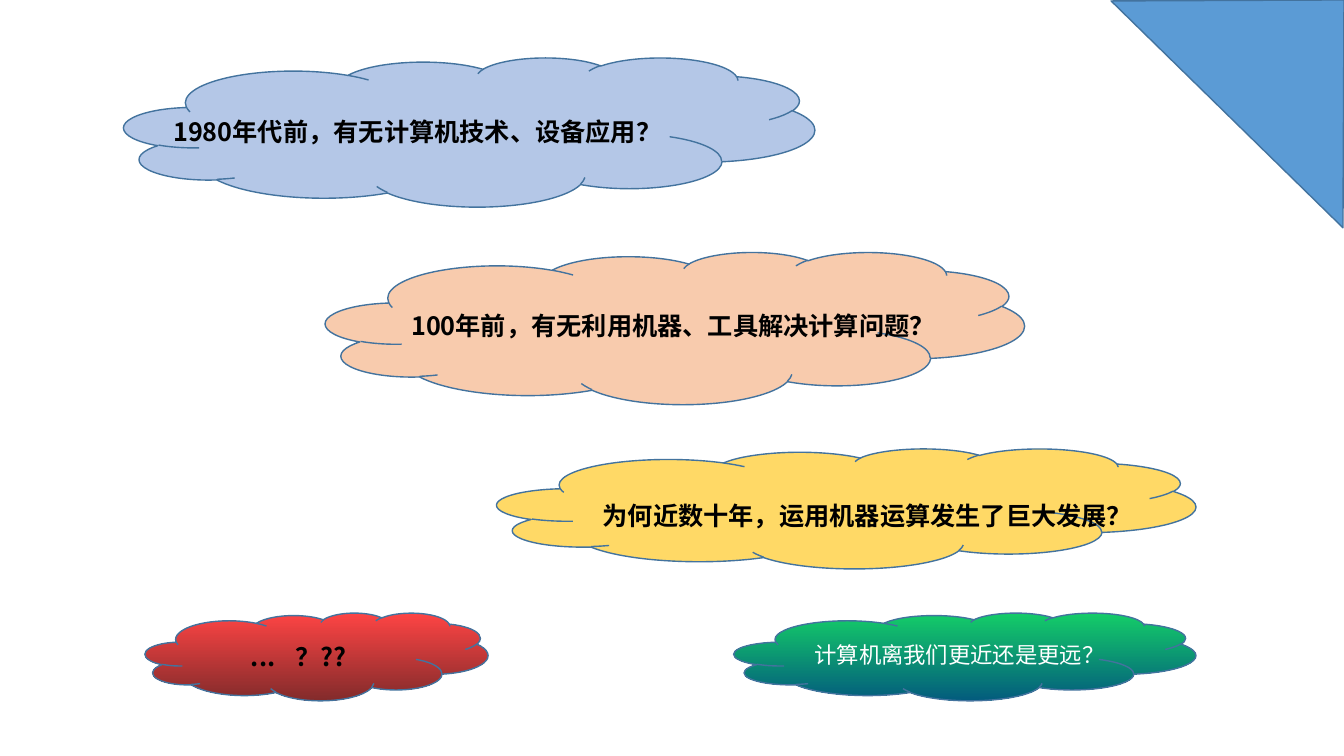
from dataclasses import dataclass

from lxml.etree import SubElement
from pptx import Presentation
from pptx.dml.color import RGBColor
from pptx.enum.shapes import MSO_SHAPE
from pptx.enum.text import MSO_ANCHOR, PP_ALIGN
from pptx.oxml.ns import qn
from pptx.util import Pt

CLOUDS = [
    {"box": (123, 57, 685, 148), "fill": ["B4C7E7"]},
    {"box": (323, 250, 693, 151), "fill": ["F8CBAD"]},
    {"box": (493, 445, 693, 119), "fill": ["FFD966"]},
    {"box": (144, 608, 340, 87), "fill": ["FE4444", "832B2B"]},
    {"box": (728, 608, 458, 87), "fill": ["14CD68", "035C7D"],
     "text": "计算机离我们更近还是更远？"},
]
QUESTIONS = [
    {"box": (162, 111, 529, 40), "text": "1980年代前，有无计算机技术、设备应用？"},
    {"box": (398, 303, 544, 40), "text": "100年前，有无利用机器、工具解决计算问题？"},
    {"box": (588, 491, 544, 40), "text": "为何近数十年，运用机器运算发生了巨大发展？"},
    {"box": (239, 631, 149, 40), "text": "...\t？??", "tab": 44},
]
CORNER = [(1333, 0), (1102, 1), (1332, 226)]
SLIDE = (1333, 750)
EMU_PER_PX = 9144


@dataclass(frozen=True)
class Theme:
    font: str = "Noto Sans CJK SC"
    outline: str = "43739E"
    corner: str = "5B9BD5"
    dark: str = "000000"
    light: str = "FFFFFF"
    question_size: int = 18
    cloud_size: int = 16


THEME = Theme()


def px(n):
    return n * EMU_PER_PX


def paint(s, colors):
    s.shadow.inherit = False
    if len(colors) == 1:
        s.fill.solid()
        s.fill.fore_color.rgb = RGBColor.from_string(colors[0])
    else:
        s.fill.gradient()
        s.fill.gradient_angle = 270
        for i, (stop, color) in enumerate(zip(s.fill.gradient_stops, colors)):
            stop.position = i
            stop.color.rgb = RGBColor.from_string(color)
    s.line.color.rgb = RGBColor.from_string(THEME.outline)
    s.line.width = Pt(1)


def write(tf, text, color, frame, para, font, tab=None):
    p = tf.paragraphs[0]
    if tab:
        tabs = SubElement(p._p.get_or_add_pPr(), qn("a:tabLst"))
        SubElement(tabs, qn("a:tab"), pos=str(px(tab)), algn="l")
    r = p.add_run()
    r.text = text
    for target, values in ((tf, frame), (p, para), (r.font, font)):
        for name, value in values.items():
            setattr(target, name, value)
    r.font.name = THEME.font
    r.font.color.rgb = RGBColor.from_string(color)
    SubElement(r._r.get_or_add_rPr(), qn("a:ea"), typeface=THEME.font)


def main():
    prs = Presentation()
    prs.slide_width, prs.slide_height = map(px, SLIDE)
    slide = prs.slides.add_slide(prs.slide_layouts[6])

    for cloud in CLOUDS:
        s = slide.shapes.add_shape(MSO_SHAPE.CLOUD, *map(px, cloud["box"]))
        paint(s, cloud["fill"])
        if "text" in cloud:
            write(s.text_frame, cloud["text"], THEME.light,
                  {"vertical_anchor": MSO_ANCHOR.MIDDLE, "word_wrap": True},
                  {"alignment": PP_ALIGN.CENTER},
                  {"size": Pt(THEME.cloud_size)})

    for question in QUESTIONS:
        s = slide.shapes.add_textbox(*map(px, question["box"]))
        write(s.text_frame, question["text"], THEME.dark,
              {"word_wrap": True, "margin_right": 0},
              {"alignment": PP_ALIGN.LEFT},
              {"size": Pt(THEME.question_size), "bold": True},
              question.get("tab"))

    fb = slide.shapes.build_freeform(*CORNER[0], scale=EMU_PER_PX)
    fb.add_line_segments(CORNER[1:], close=True)
    paint(fb.convert_to_shape(), [THEME.corner])

    prs.save("out.pptx")


if __name__ == "__main__":
    main()
